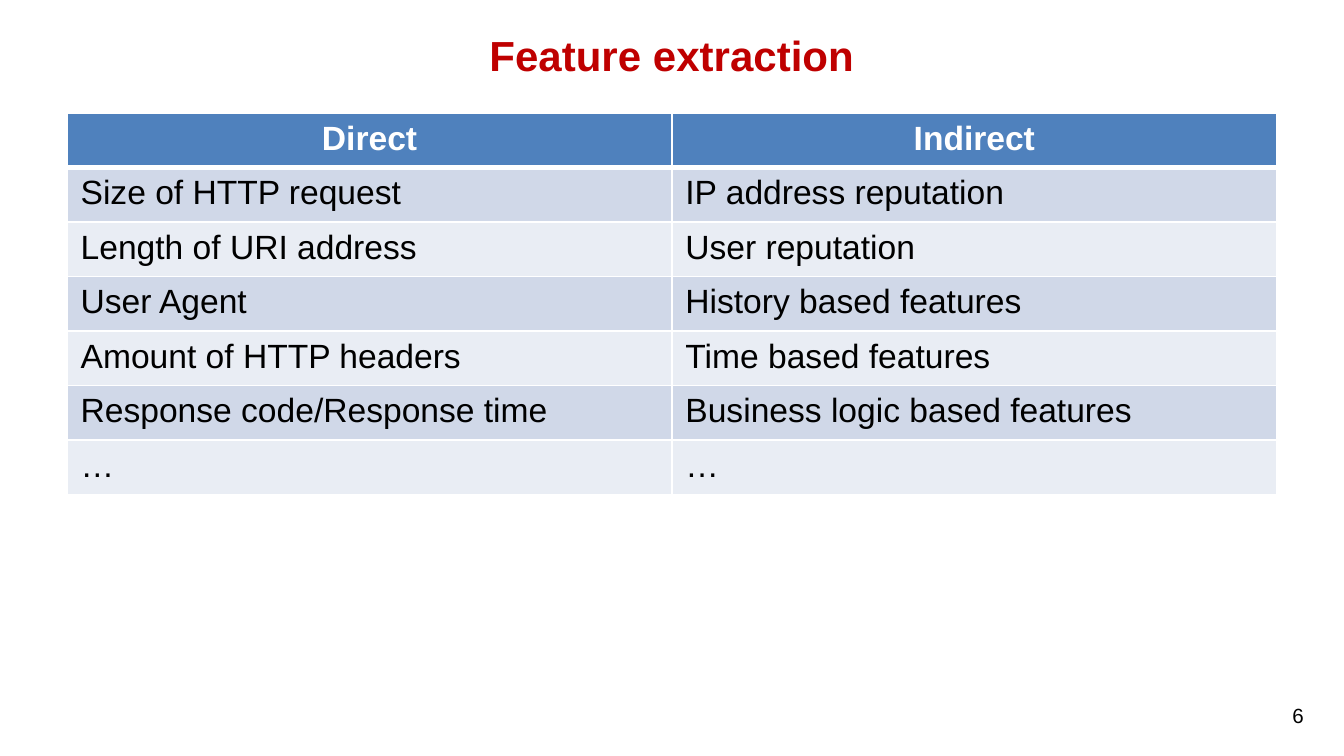
from lxml.etree import SubElement
from pptx import Presentation
from pptx.dml.color import RGBColor
from pptx.enum.text import MSO_ANCHOR, PP_ALIGN
from pptx.oxml import parse_xml
from pptx.oxml.ns import nsdecls, qn
from pptx.util import Inches, Pt

WHITE = RGBColor(0xFF, 0xFF, 0xFF)
BLACK = RGBColor(0x00, 0x00, 0x00)
RED = RGBColor(0xBF, 0x00, 0x00)
HEADER_BLUE = RGBColor(0x4F, 0x81, 0xBD)
BAND_DARK = RGBColor(0xD0, 0xD8, 0xE8)
BAND_LIGHT = RGBColor(0xE9, 0xED, 0xF4)

FEATURES = [
    ("Direct", "Indirect"),
    ("Size of HTTP request", "IP address reputation"),
    ("Length of URI address", "User reputation"),
    ("User Agent", "History based features"),
    ("Amount of HTTP headers", "Time based features"),
    ("Response code/Response time", "Business logic based features"),
    ("…", "…"),
]


class SlideBuilder:
    font_name = "Arial"
    table_size = 18

    def __init__(self, page):
        self.page = page

    def add_span(self, para, text, size, color, bold=False):
        span = para.add_run()
        span.text = text
        span.font.name = self.font_name
        span.font.size = Pt(size)
        span.font.bold = bold
        span.font.color.rgb = color

    def add_text(self, text, left, top, width, height, size, color, align, bold=False):
        box = self.page.shapes.add_textbox(
            Inches(left), Inches(top), Inches(width), Inches(height))
        frame = box.text_frame
        frame.word_wrap = True
        frame.vertical_anchor = MSO_ANCHOR.MIDDLE
        para = frame.paragraphs[0]
        para.alignment = align
        self.add_span(para, text, size, color, bold)

    def add_borders(self, cell, widths):
        """Draw white borders; widths are points by side: L, R, T, B."""
        properties = cell._tc.get_or_add_tcPr()
        for index, (side, width) in enumerate(widths.items()):
            line = parse_xml(f'<a:ln{side} {nsdecls("a")} w="{Pt(width)}"/>')
            fill = SubElement(line, qn("a:solidFill"))
            SubElement(fill, qn("a:srgbClr"), val=str(WHITE))
            properties.insert(index, line)

    def add_table(self, rows, left, top, width, height):
        table = self.page.shapes.add_table(
            len(rows), len(rows[0]),
            Inches(left), Inches(top), Inches(width), Inches(height)).table
        for row_index, row in enumerate(rows):
            is_header = row_index == 0
            band = BAND_DARK if row_index % 2 else BAND_LIGHT
            for column_index, text in enumerate(row):
                cell = table.cell(row_index, column_index)
                cell.fill.solid()
                cell.fill.fore_color.rgb = HEADER_BLUE if is_header else band
                self.add_borders(cell, {
                    "L": 1, "R": 1,
                    "T": 3 if row_index == 1 else 1,
                    "B": 3 if is_header else 1,
                })
                para = cell.text_frame.paragraphs[0]
                para.alignment = PP_ALIGN.CENTER if is_header else PP_ALIGN.LEFT
                self.add_span(para, text, self.table_size,
                              WHITE if is_header else BLACK, is_header)


def main():
    deck = Presentation()
    deck.slide_width = Inches(10)
    deck.slide_height = Inches(10 * 9 / 16)
    builder = SlideBuilder(deck.slides.add_slide(deck.slide_layouts[6]))
    builder.add_text("Feature extraction", 0.5, 0.22, 9, 0.38,
                     22.5, RED, PP_ALIGN.CENTER, bold=True)
    builder.add_table(FEATURES, 0.5, 0.84, 9, 2.84)
    builder.add_text("6", 7.47, 5.17, 2.33, 0.3, 11, BLACK, PP_ALIGN.RIGHT)
    deck.save("out.pptx")


if __name__ == "__main__":
    main()
